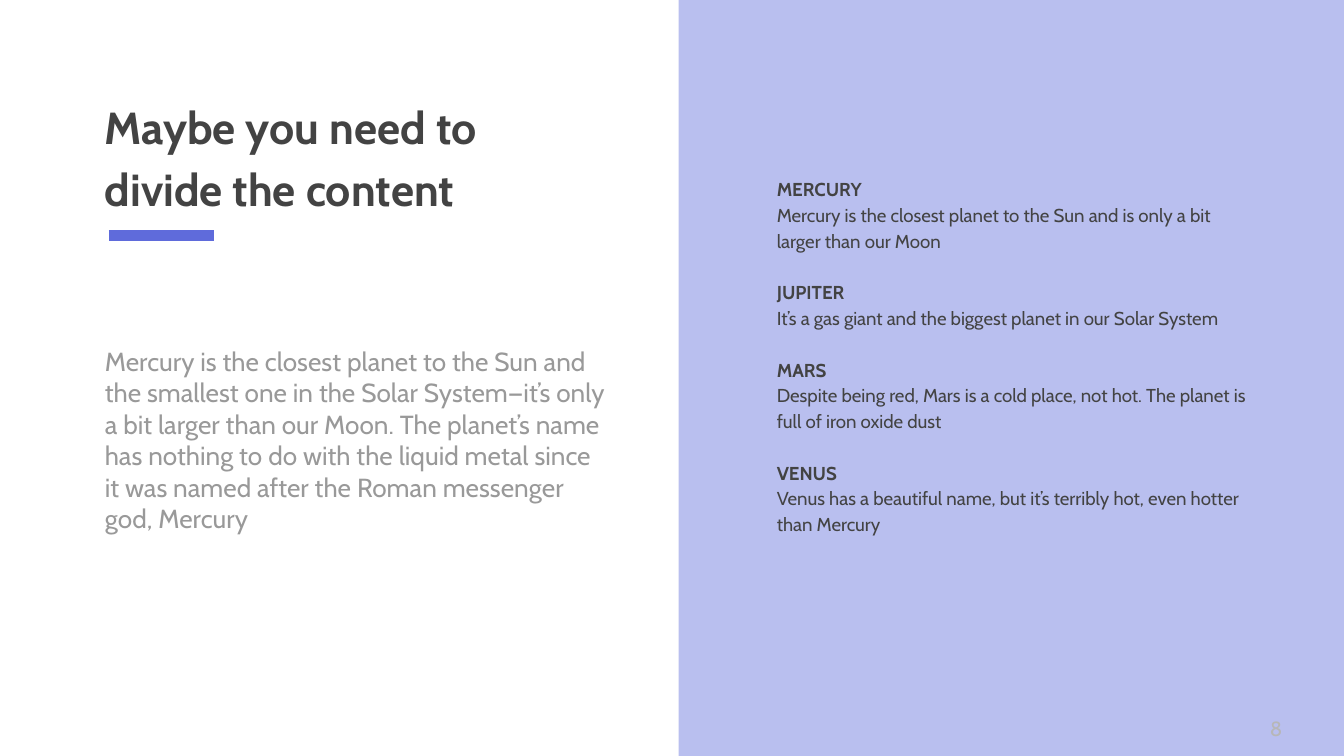
import dataclasses

import pptx
import pptx.dml.color
import pptx.enum.shapes
import pptx.enum.text
import pptx.oxml
import pptx.oxml.ns
import pptx.util

Inches = pptx.util.Inches
Anchor = pptx.enum.text.MSO_ANCHOR

WIDTH = Inches(10)
HEIGHT = WIDTH * 9 // 16


@dataclasses.dataclass(frozen=True)
class Theme:
    font: str = "Cabin"
    accent: str = "5F6BDB"
    dark: str = "434343"
    grey: str = "999999"
    pale: str = "B7B7B7"
    title: float = 24
    lead: float = 14
    note: float = 10
    page: float = 11


THEME = Theme()

TITLE = "Maybe you need to divide the content"
LEAD = (
    "Mercury is the closest planet to the Sun and the smallest one in the "
    "Solar System—it’s only a bit larger than our Moon. The planet’s name has "
    "nothing to do with the liquid metal since it was named after the Roman "
    "messenger god, Mercury"
)
PLANETS = [
    ("MERCURY", "Mercury is the closest planet to the Sun and is only a bit larger than our Moon"),
    ("JUPITER", "It’s a gas giant and the biggest planet in our Solar System"),
    ("MARS", "Despite being red, Mars is a cold place, not hot. The planet is full of iron oxide dust"),
    ("VENUS", "Venus has a beautiful name, but it’s terribly hot, even hotter than Mercury"),
]


def color(code):
    return pptx.dml.color.RGBColor.from_string(code)


def place(shape, left, top, width, height):
    shape.left, shape.top = Inches(left), Inches(top)
    shape.width, shape.height = Inches(width), Inches(height)


def frame(shape, anchor=Anchor.TOP):
    text = shape.text_frame
    text.word_wrap = True
    text.auto_size = pptx.enum.text.MSO_AUTO_SIZE.NONE
    text.vertical_anchor = anchor
    text.margin_left = text.margin_right = Inches(0.1)
    text.margin_top = text.margin_bottom = Inches(0.1)
    return text


def style(para, lines=1.0, after=0):
    para.alignment = pptx.enum.text.PP_ALIGN.LEFT
    para.line_spacing = lines
    para.space_before = pptx.util.Pt(0)
    para.space_after = pptx.util.Pt(after)
    props = para._p.get_or_add_pPr()
    props.set("marL", "0")
    props.set("indent", "0")
    props.append(pptx.oxml.parse_xml(f'<a:buNone {pptx.oxml.ns.nsdecls("a")}/>'))


def write(para, words, size, code, bold=False):
    run = para.add_run()
    run.text = words
    run.font.name = THEME.font
    run.font.size = pptx.util.Pt(size)
    run.font.bold = bold
    run.font.color.rgb = color(code)


def add_panel(slide):
    left = Inches(5.05)
    panel = slide.shapes.add_shape(
        pptx.enum.shapes.MSO_SHAPE.RECTANGLE, left, 0, WIDTH - left, HEIGHT
    )
    panel.shadow.inherit = False
    panel.line.fill.background()
    panel.fill.solid()
    panel.fill.fore_color.rgb = color(THEME.accent)
    tint = panel.element.spPr.find(".//" + pptx.oxml.ns.qn("a:srgbClr"))
    tint.append(pptx.oxml.parse_xml(f'<a:alpha {pptx.oxml.ns.nsdecls("a")} val="43000"/>'))
    slide.shapes.title.element.addprevious(panel.element)


def add_rule(slide):
    rule = slide.shapes.add_connector(
        pptx.enum.shapes.MSO_CONNECTOR.STRAIGHT,
        Inches(0.81), Inches(1.75), Inches(1.59), Inches(1.75),
    )
    rule.line.color.rgb = color(THEME.accent)
    rule.line.width = pptx.util.Pt(6)
    rule.element.spPr.append(pptx.oxml.parse_xml(f'<a:effectLst {pptx.oxml.ns.nsdecls("a")}/>'))


def fill_title(shape):
    place(shape, 0.68, 0.61, 3.91, 1.09)
    para = frame(shape, Anchor.BOTTOM).paragraphs[0]
    style(para, 1.15)
    write(para, TITLE, THEME.title, THEME.dark, True)


def fill_lead(shape):
    place(shape, 0.68, 2.47, 3.94, 2.12)
    para = frame(shape).paragraphs[0]
    style(para)
    write(para, LEAD, THEME.lead, THEME.grey)


def fill_list(shape):
    place(shape, 5.68, 1.2, 3.69, 3.1)
    text = frame(shape)
    for index, (name, fact) in enumerate(PLANETS):
        para = text.add_paragraph() if index else text.paragraphs[0]
        style(para, 1.15, 13.8)
        write(para, name, THEME.note, THEME.dark, True)
        para.add_line_break()
        write(para, fact, THEME.note, THEME.dark)


def add_page(slide):
    box = slide.shapes.add_textbox(Inches(9.35), Inches(5.22), Inches(0.4), Inches(0.4))
    para = frame(box, Anchor.MIDDLE).paragraphs[0]
    style(para)
    write(para, "8", THEME.page, THEME.pale)


def main():
    deck = pptx.Presentation()
    deck.slide_width, deck.slide_height = WIDTH, HEIGHT
    slide = deck.slides.add_slide(deck.slide_layouts[3])
    title, lead, facts = list(slide.placeholders)[:3]
    add_panel(slide)
    fill_title(title)
    fill_lead(lead)
    add_rule(slide)
    fill_list(facts)
    add_page(slide)
    deck.save("out.pptx")


if __name__ == "__main__":
    main()
